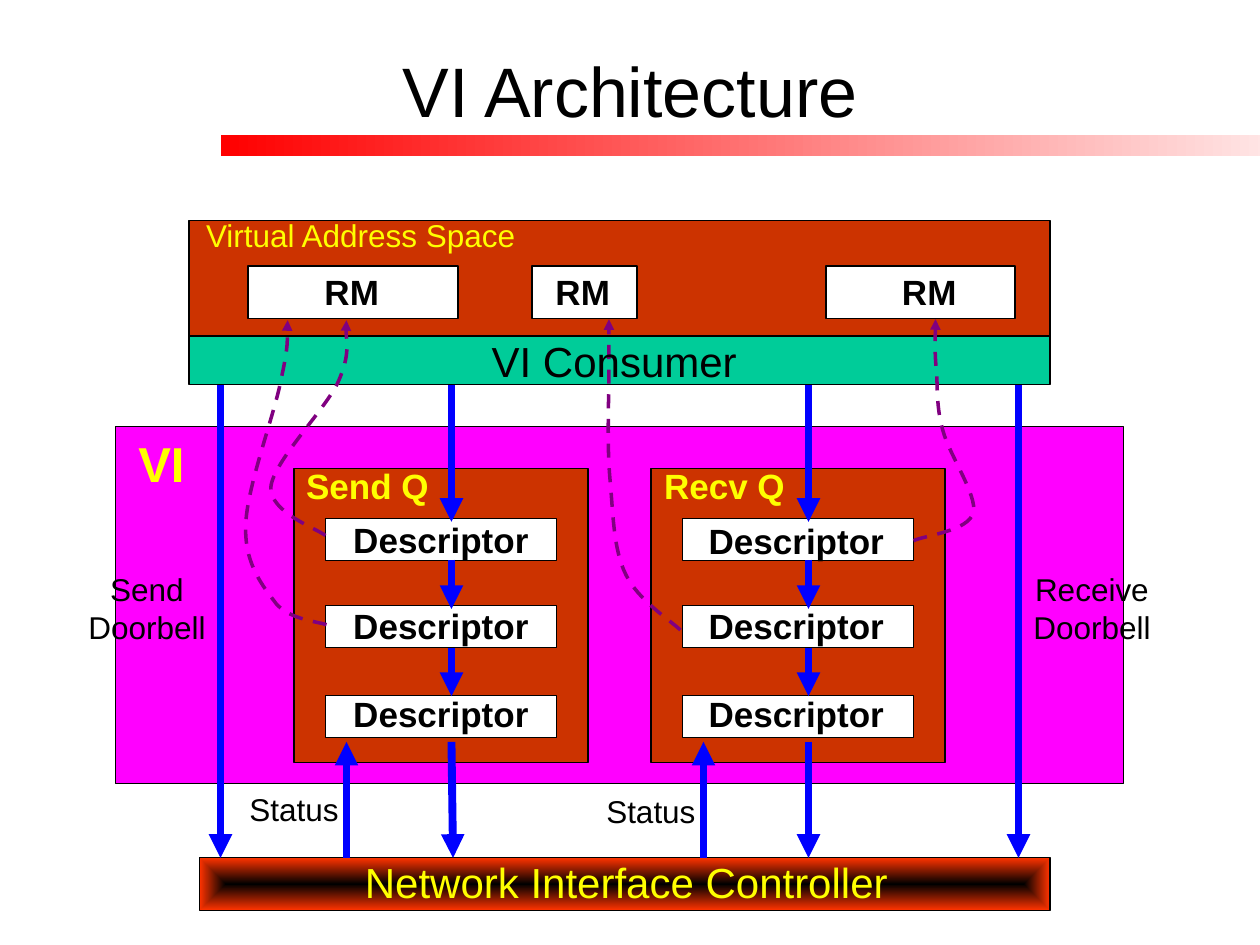
from lxml.etree import SubElement
from pptx import Presentation
from pptx.dml.color import RGBColor
from pptx.enum.dml import MSO_LINE as Dash
from pptx.enum.shapes import MSO_CONNECTOR as Conn, MSO_SHAPE as Shape
from pptx.enum.text import MSO_ANCHOR as Anchor, MSO_AUTO_SIZE as Auto, PP_ALIGN as Align
from pptx.oxml import parse_xml
from pptx.oxml.ns import nsdecls, qn
from pptx.util import Inches, Pt

COLS, ROWS = 120, 90  # grid of the slide, cells are 1/12 inch


def tint(code):
    return RGBColor.from_string(code)


def write(frame, text, size=18, color="000000", bold=False, align=Align.CENTER):
    frame.text = text
    para = frame.paragraphs[0]
    para.alignment = align
    font = para.runs[0].font
    font.name, font.size, font.bold = "Arial", Pt(size), bold
    font.color.rgb = tint(color)


def bend(shape):
    """Turn each three line segments of an outline into one cubic curve."""
    lines = list(shape.element.iter(qn("a:lnTo")))
    route = lines[0].getparent()
    for first in range(0, len(lines), 3):
        cubic = SubElement(route, qn("a:cubicBezTo"))
        for line in lines[first:first + 3]:
            cubic.append(line[0])
            route.remove(line)


class Board:
    brick, white, yellow = "CC3300", "FFFFFF", "FFFF00"
    blue, purple = "0000FF", "800080"

    def __init__(self, deck):
        self.slide = deck.slides.add_slide(deck.slide_layouts[5])
        self.shapes = self.slide.shapes
        self.wide, self.high = deck.slide_width, deck.slide_height

    def spot(self, x, y):
        return round(x * self.wide / COLS), round(y * self.high / ROWS)

    def area(self, x, y, w, h):
        return self.spot(x, y) + self.spot(w, h)

    def title(self, text, *box):
        head = self.shapes.title
        head.left, head.top, head.width, head.height = self.area(*box)
        head.text_frame.vertical_anchor = Anchor.MIDDLE
        write(head.text_frame, text, size=40)

    def rect(self, *box, fill=None, line="000000", width=0.75):
        shape = self.shapes.add_shape(Shape.RECTANGLE, *self.area(*box))
        shape.shadow.inherit = False
        if fill:
            shape.fill.solid()
            shape.fill.fore_color.rgb = tint(fill)
        if line:
            shape.line.color.rgb = tint(line)
            shape.line.width = Pt(width)
        else:
            shape.line.fill.background()
        return shape

    def fade(self, *box, stops, line=None, inner=False):
        shape = self.rect(*box, line=line)
        shape.fill.gradient()
        shape.fill.gradient_angle = 0
        for stop, color, place in zip(shape.fill.gradient_stops, stops, (0, 1)):
            stop.color.rgb = tint(color)
            stop.position = place
        if inner:  # gradient from the centre outwards
            grad = shape.element.spPr.find(qn("a:gradFill"))
            grad.replace(grad.find(qn("a:lin")), parse_xml(
                f'<a:path {nsdecls("a")} path="rect">'
                '<a:fillToRect l="50000" t="50000" r="50000" b="50000"/></a:path>'))

    def label(self, text, *box, **style):
        frame = self.shapes.add_textbox(*self.area(*box)).text_frame
        frame.word_wrap = True
        frame.auto_size = Auto.SHAPE_TO_FIT_TEXT
        write(frame, text, **style)

    def tip(self, shape, color, width):
        shape.line.color.rgb = tint(color)
        shape.line.width = Pt(width)
        shape.element.spPr.find(qn("a:ln")).append(
            parse_xml(f'<a:tailEnd {nsdecls("a")} type="triangle"/>'))

    def arrow(self, x, y, end, shift=0):
        link = self.shapes.add_connector(
            Conn.STRAIGHT, *self.spot(x, y), *self.spot(x + shift, end))
        self.tip(link, self.blue, 4.5)
        link.element.spPr.append(parse_xml(f'<a:effectLst {nsdecls("a")}/>'))

    def curve(self, start, *curves):
        """Each curve is two control points and an end point."""
        pen = self.shapes.build_freeform(*self.spot(*start))
        pen.add_line_segments([self.spot(*part[i:i + 2]) for part in curves
                               for i in (0, 2, 4)], close=False)
        shape = pen.convert_to_shape()
        bend(shape)
        shape.shadow.inherit = False
        shape.fill.background()
        shape.line.dash_style = Dash.DASH
        self.tip(shape, self.purple, 2)


def main():
    deck = Presentation()
    deck.slide_width, deck.slide_height = Inches(10), Inches(7.5)
    board = Board(deck)

    # Title and its bar
    board.fade(21, 12.85, 111, 2, stops=("FF0000", "FFFFFF"))
    board.title("VI Architecture", 9, 1, 102, 15)

    # VI panel and network controller
    board.rect(11, 40.65, 96, 34, fill="FF00FF")
    board.fade(19, 81.7, 81, 5, stops=("000000", "FF3300"), line="000000", inner=True)
    board.label("VI", 12, 40.65, 12, 6.8, size=28, color=board.yellow, bold=True,
                align=Align.LEFT)

    # Send and receive queues
    rows = (49.36, 48.75), (57.7, 57), (66.25, 65.4)
    for name, left, tag, text, drop in (("Send Q", 28, 26, 30.5, 0),
                                        ("Recv Q", 62, 60, 64.35, 0.15)):
        board.rect(left, 44.65, 28, 28, fill=board.brick)
        board.label(name, tag, 43.65, 18, 5.3, size=20, color=board.yellow, bold=True)
        for top, line in rows:
            board.rect(left + 3, top, 22, 4, fill=board.white)
            lower = drop if top == rows[0][0] else 0
            board.label("Descriptor", text, line + lower, 23, 5.3, size=20, bold=True)

    # Doorbell, queue and status arrows
    for x in (21, 97):
        board.arrow(x, 32.7, 81.7)
    for x, shift in ((43, 0.15), (77, 0)):
        for top, end in ((32.7, 49.7), (53.3, 58), (61.7, 66.3)):
            board.arrow(x, top, end)
        board.arrow(x, 70.65, 81.7, shift)
        board.arrow(x - 10, 81.7, 70.65)

    # Captions
    board.label("Network Interface Controller", 30.15, 81, 59, 6, size=24,
                color=board.yellow)
    board.label("Status", 19, 74.65, 18, 4.8)
    board.label("Status", 53, 74.85, 18, 4.8)
    board.label("Send Doorbell", 5, 53.7, 18, 8.4)
    board.label("Receive Doorbell", 95, 53.7, 18, 8.4)

    # Consumer and its address space
    board.rect(18, 32, 82, 4.65, fill="00CC99")
    board.rect(18, 21, 82, 11, fill=board.brick)
    board.label("Virtual Address Space", 6.7, 20, 55.3, 4.8, color=board.yellow)
    for left, width, text in ((23.65, 20, 29), (50.65, 10, 51), (78.7, 18, 84)):
        board.rect(left, 25.35, width, 5, fill=board.white, width=1)
        board.label("RM", text, 25.2, 9, 5.3, size=20, bold=True)

    # Dashed paths from descriptors to memory regions
    board.curve((31, 51), (30.1, 50.3, 25.7, 48.8, 25.8, 46.4),
                (26, 44, 31, 39, 32.2, 36.4), (33.4, 33.7, 32.8, 31.7, 33, 30.5))
    board.curve((31.1, 59.5), (30.2, 59.2, 27.6, 59, 26.3, 57.5),
                (25.1, 55.9, 23.3, 53.8, 23.4, 50.2),
                (23.4, 46.6, 26.2, 39.4, 26.8, 36), (27.5, 32.8, 27.3, 31.7, 27.4, 30.5))
    board.curve((64.8, 60), (64, 59.2, 60.7, 57.1, 59.6, 54.7),
                (58.4, 52.3, 58.4, 48.8, 58.1, 45.6),
                (57.8, 42.4, 58, 37.8, 58, 35.3), (58, 32.6, 58, 31.3, 58, 30.4))
    board.curve((87, 51.5), (88, 51, 92.3, 50.6, 92.7, 48.8),
                (93.1, 47.2, 90.4, 43.3, 89.8, 41),
                (89.2, 38.9, 89.3, 37.2, 89.2, 35.4), (89, 33.6, 89.1, 31.4, 89.1, 30.4))
    board.label("VI Consumer", 41, 31.35, 35, 6, size=24)

    deck.save("out.pptx")


if __name__ == "__main__":
    main()
